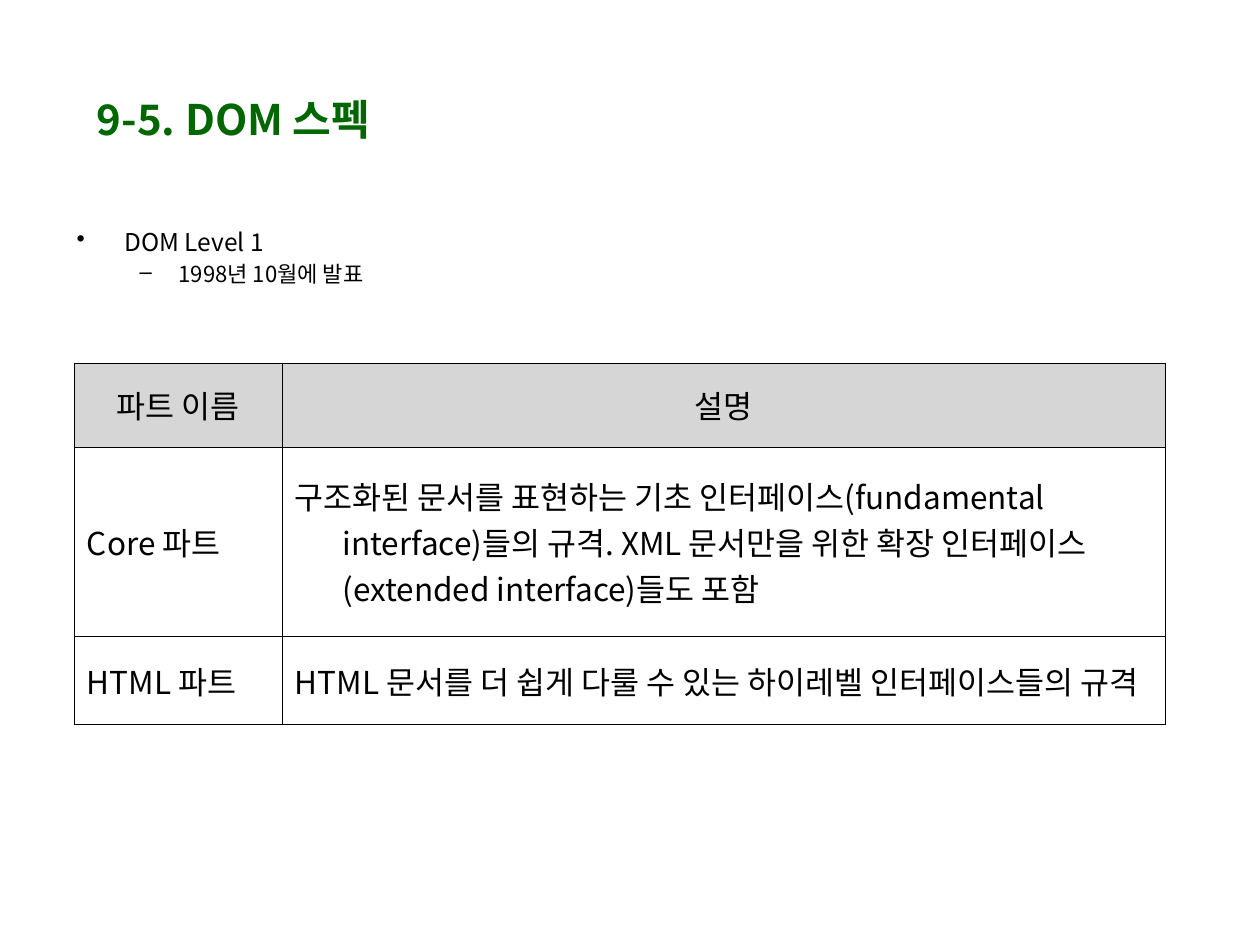
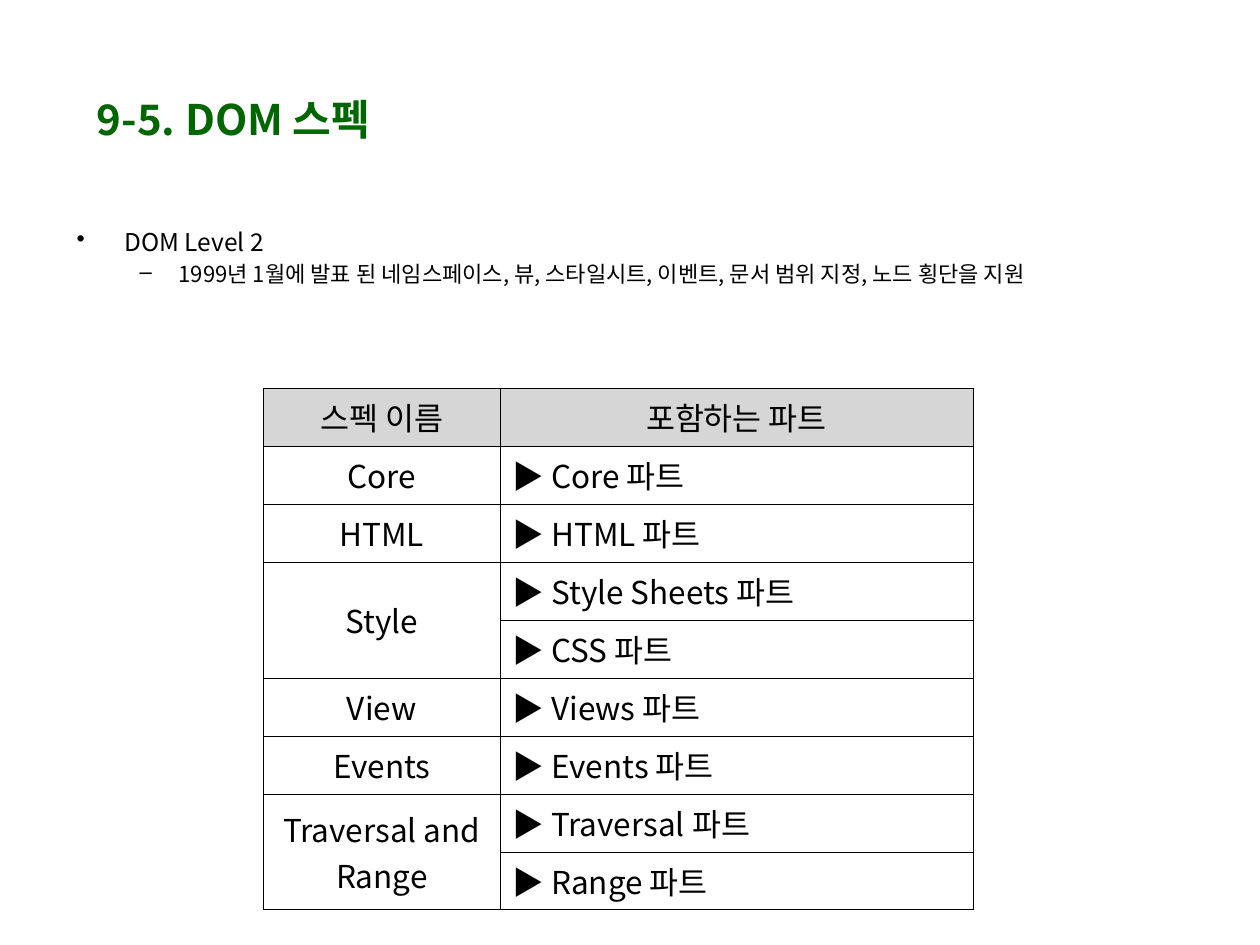
import pptx
import pptx.util
import pptx.dml.color
import pptx.enum.text
import pptx.oxml
import pptx.oxml.ns
from lxml import etree

Inches, Pt = pptx.util.Inches, pptx.util.Pt
RGBColor = pptx.dml.color.RGBColor
PP_ALIGN = pptx.enum.text.PP_ALIGN
MSO_ANCHOR = pptx.enum.text.MSO_ANCHOR
qn = pptx.oxml.ns.qn

FONT = "Noto Sans CJK KR"
GREEN = RGBColor(0x00, 0x66, 0x00)
BLACK = RGBColor(0x00, 0x00, 0x00)
GREY = RGBColor(0xD6, 0xD6, 0xD6)
BORDER_PT = 0.06

TITLE = "9-5. DOM 스펙"
TITLE_BOX = (0.67, 0.6, 5.99, 0.69)
BODY_BOX = (0.51, 1.78, 9, 0.63)

LEVEL_1_ROWS = [
    ("파트 이름", "설명"),
    ("Core 파트", "구조화된 문서를 표현하는 기초 인터페이스(fundamental interface)들의 규격. "
                 "XML 문서만을 위한 확장 인터페이스(extended interface)들도 포함"),
    ("HTML 파트", "HTML 문서를 더 쉽게 다룰 수 있는 하이레벨 인터페이스들의 규격"),
]
LEVEL_2_SPECS = [
    ("Core", ["Core"]),
    ("HTML", ["HTML"]),
    ("Style", ["Style Sheets", "CSS"]),
    ("View", ["Views"]),
    ("Events", ["Events"]),
    ("Traversal and Range", ["Traversal", "Range"]),
]


def write(p, text, size=18, color=BLACK, bold=False, align=PP_ALIGN.LEFT,
          left=0, hang=0, bullet=None, before=0, spacing=None):
    """Write text into a paragraph with the given format."""
    pPr = p._p.get_or_add_pPr()
    pPr.set("marL", str(Inches(left)))
    pPr.set("indent", str(-Inches(hang)))
    if bullet:
        etree.SubElement(pPr, qn("a:buChar"), char=bullet)
    p.alignment = align
    p.space_before = Pt(before)
    if spacing:
        p.line_spacing = spacing
    r = p.add_run()
    r.text = text
    r.font.size = Pt(size)
    r.font.bold = bold
    r.font.name = FONT
    r.font.color.rgb = color
    etree.SubElement(r._r.get_or_add_rPr(), qn("a:ea"), typeface=FONT)


def add_text_frame(s, box, anchor=MSO_ANCHOR.TOP):
    """Add a wrapping text box and return its text frame."""
    tf = s.shapes.add_textbox(*map(Inches, box)).text_frame
    tf.word_wrap = True
    tf.vertical_anchor = anchor
    return tf


def add_heading(s, box):
    """Add the shared green title."""
    tf = add_text_frame(s, box, MSO_ANCHOR.MIDDLE)
    write(tf.paragraphs[0], TITLE, size=24, color=GREEN, bold=True)


def add_bullets(s, box, level, detail):
    """Add the DOM level and the dashed detail under it."""
    tf = add_text_frame(s, box)
    write(tf.paragraphs[0], level, size=14, left=0.38, hang=0.38,
          bullet="•", spacing=0.9)
    p = tf.add_paragraph()
    p.level = 1
    write(p, detail, size=12.6, left=0.81, hang=0.31,
          bullet="–", before=4, spacing=0.9)


def style_cell(cell, header):
    """Give a cell thin borders, its fill and a middle anchor."""
    tcPr = cell._tc.get_or_add_tcPr()
    for side in ("a:lnL", "a:lnR", "a:lnT", "a:lnB"):
        ln = etree.SubElement(tcPr, qn(side), w=str(Pt(BORDER_PT)))
        fill = etree.SubElement(ln, qn("a:solidFill"))
        etree.SubElement(fill, qn("a:srgbClr"), val=str(BLACK))
    if header:
        cell.fill.solid()
        cell.fill.fore_color.rgb = GREY
    else:
        cell.fill.background()
    cell.vertical_anchor = MSO_ANCHOR.MIDDLE
    cell.margin_left = cell.margin_right = Inches(0.1)
    cell.margin_top = cell.margin_bottom = Inches(0.05)


def add_grid(s, left, top, widths, heights, rows, center_names=False, hang=0):
    """Add a table; a name of None joins its cell to the one above."""
    box = (left, top, sum(widths), sum(heights))
    table = s.shapes.add_table(len(rows), len(widths), *map(Inches, box)).table
    table.first_row = table.horz_banding = False
    for column, width in zip(table.columns, widths):
        column.width = Inches(width)
    for i, (height, texts) in enumerate(zip(heights, rows)):
        table.rows[i].height = Inches(height)
        for j, text in enumerate(texts):
            cell = table.cell(i, j)
            style_cell(cell, header=i == 0)
            if text is None:
                table.cell(i - 1, j).merge(cell)
                continue
            centered = i == 0 or (center_names and j == 0)
            write(cell.text_frame.paragraphs[0], text, left=hang, hang=hang,
                  align=PP_ALIGN.CENTER if centered else PP_ALIGN.LEFT)


def add_level_slide(prs, level, detail):
    """Add a slide with the title and the bullets of one DOM level."""
    s = prs.slides.add_slide(prs.slide_layouts[6])
    add_heading(s, TITLE_BOX)
    add_bullets(s, BODY_BOX, level, detail)
    return s


def spec_rows():
    """Return the DOM Level 2 rows, one for each part."""
    rows = [("스펙 이름", "포함하는 파트")]
    for name, parts in LEVEL_2_SPECS:
        for k, part in enumerate(parts):
            rows.append((None if k else name, f"▶ {part} 파트"))
    return rows


def main():
    """Build and save the presentation."""
    prs = pptx.Presentation()
    prs.slide_width, prs.slide_height = Inches(10), Inches(7.5)

    s = add_level_slide(prs, "DOM Level 1", "1998년 10월에 발표")
    add_grid(s, 0.59, 2.88, [1.65, 7.01], [0.67, 1.5, 0.7], LEVEL_1_ROWS, hang=0.38)

    s = add_level_slide(prs, "DOM Level 2",
                        "1999년 1월에 발표 된 네임스페이스, 뷰, 스타일시트, 이벤트, "
                        "문서 범위 지정, 노드 횡단을 지원")
    rows = spec_rows()
    add_grid(s, 2.09, 3.08, [1.88, 3.75], [0.46] * len(rows), rows, center_names=True)

    prs.save("out.pptx")


if __name__ == "__main__":
    main()
